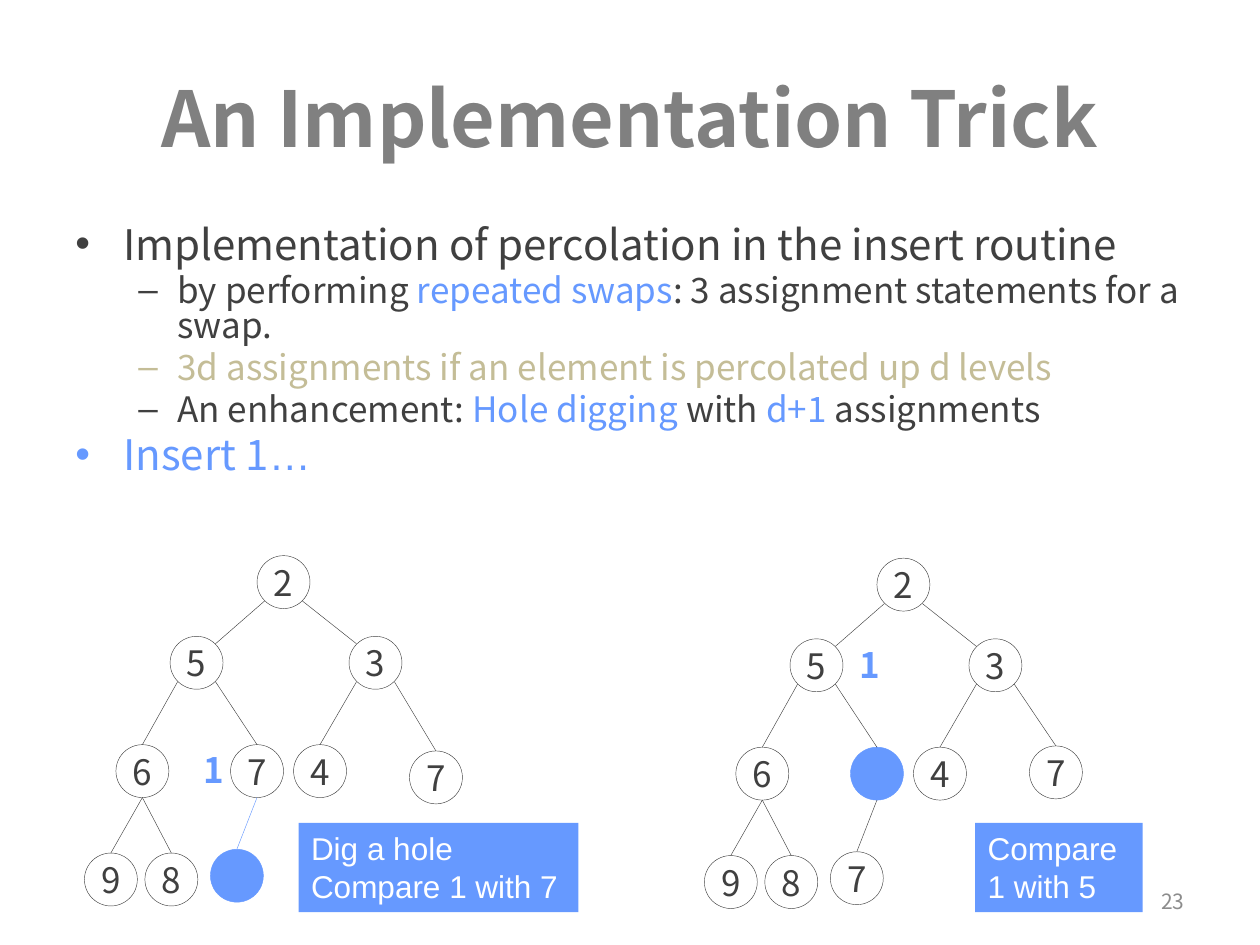
import pptx
import pptx.util
import pptx.dml.color
import pptx.enum.shapes
import pptx.enum.text
import pptx.oxml.ns
import lxml.etree

Inches, Pt = pptx.util.Inches, pptx.util.Pt
RGBColor = pptx.dml.color.RGBColor
MSO_SHAPE = pptx.enum.shapes.MSO_SHAPE
PP_ALIGN = pptx.enum.text.PP_ALIGN
MSO_ANCHOR = pptx.enum.text.MSO_ANCHOR
qn = pptx.oxml.ns.qn

DARK = RGBColor(0x40, 0x40, 0x40)
GRAY = RGBColor(0x80, 0x80, 0x80)
LIGHT_GRAY = RGBColor(0x8C, 0x8C, 0x8C)
BLUE = RGBColor(0x66, 0x99, 0xFF)
TAN = RGBColor(0xC4, 0xBD, 0x97)
WHITE = RGBColor(0xFF, 0xFF, 0xFF)
SANS = "Noto Sans CJK SC"


def add_text(p, text, size=20, color=DARK, font=SANS, bold=False, align=None):
    if align is not None:
        p.alignment = align
    for i, line in enumerate(text.split("\n")):
        if i:
            p.add_line_break()
        r = p.add_run()
        r.text = line
        r.font.size = Pt(size)
        r.font.name = font
        r.font.bold = bold
        r.font.color.rgb = color
        ea = lxml.etree.SubElement(r.font._element, qn("a:ea"))
        ea.set("typeface", font)


def add_edge(shapes, start, end, color):
    c = shapes.add_connector(
        pptx.enum.shapes.MSO_CONNECTOR.STRAIGHT,
        *[Inches(v) for v in (*start, *end)])
    c.line.color.rgb = color
    c.line.width = Pt(0.25)
    lxml.etree.SubElement(c._element.spPr, qn("a:effectLst"))
    return c


prs = pptx.Presentation()
prs.slide_width, prs.slide_height = Inches(10), Inches(7.5)
s = prs.slides.add_slide(prs.slide_layouts[5])

title = s.shapes.title
title.left, title.top = Inches(0.5), Inches(0.3)
title.width, title.height = Inches(9), Inches(1.25)
title.text_frame.vertical_anchor = MSO_ANCHOR.MIDDLE
add_text(title.text_frame.paragraphs[0], "An Implementation Trick",
         size=44, color=GRAY, bold=True, align=PP_ALIGN.CENTER)

body = [
    (0, [("Implementation of percolation in the insert routine", DARK)]),
    (1, [("by performing ", DARK), ("repeated swaps", BLUE),
         (": 3 assignment statements for a swap.", DARK)]),
    (1, [("3d assignments if an element is percolated up d levels", TAN)]),
    (1, [("An enhancement: ", DARK), ("Hole digging ", BLUE), ("with ", DARK),
         ("d+1", BLUE), (" assignments", DARK)]),
    (0, [("Insert 1", BLUE), ("…", BLUE)]),
]
levels = [(24, 0.38, 0.38, "•"), (20, 0.81, 0.31, "–")]
tf = s.shapes.add_textbox(Inches(0.5), Inches(1.75), Inches(9), Inches(2.58)).text_frame
tf.word_wrap = True
for i, (level, runs) in enumerate(body):
    p = tf.add_paragraph() if i else tf.paragraphs[0]
    size, margin, hanging, bullet = levels[level]
    p.level = level
    p.line_spacing = 0.83
    p.space_before = Pt(size * 0.2)
    pPr = p._p.get_or_add_pPr()
    pPr.set("marL", str(Inches(margin)))
    pPr.set("indent", str(-Inches(hanging)))
    lxml.etree.SubElement(pPr, qn("a:buFont")).set("typeface", "Arial")
    lxml.etree.SubElement(pPr, qn("a:buChar")).set("char", bullet)
    for text, color in runs:
        add_text(p, text, size=size, color=color, font="Arial" if text == "…" else SANS)

tf = s.shapes.add_textbox(Inches(7.17), Inches(6.95), Inches(2.33), Inches(0.4)).text_frame
tf.word_wrap = True
tf.vertical_anchor = MSO_ANCHOR.MIDDLE
add_text(tf.paragraphs[0], "23", size=12, color=LIGHT_GRAY, align=PP_ALIGN.RIGHT)

D = 0.42
NEAR, FAR = 0.06, 0.36
HOLE = ""
places = [(2.04, 4.41), (1.35, 5.05), (2.77, 5.05), (0.92, 5.91), (1.83, 5.91),
          (2.33, 5.91), (3.25, 5.96), (0.67, 6.77), (1.15, 6.77), (1.67, 6.74)]
trees = [
    (0, 0, ["2", "5", "3", "6", "7", "4", "7", "9", "8", HOLE], {}, BLUE),
    (4.92, 0.02, ["2", "5", "3", "6", HOLE, "4", "7", "9", "8", "7"],
     {6: (8.17, 5.92)}, DARK),
]
for dx, dy, labels, moved, last_color in trees:
    spots = [moved.get(i, (x + dx, y + dy)) for i, (x, y) in enumerate(places)]
    nodes = []
    for label, (x, y) in zip(labels, spots):
        sp = s.shapes.add_shape(MSO_SHAPE.OVAL, Inches(x), Inches(y), Inches(D), Inches(D))
        sp.shadow.inherit = False
        sp.line.width = Pt(0.25)
        if label == HOLE:
            sp.fill.solid()
            sp.fill.fore_color.rgb = BLUE
            sp.line.color.rgb = BLUE
        else:
            sp.fill.background()
            sp.line.color.rgb = DARK
            tf = sp.text_frame
            tf.word_wrap = False
            tf.vertical_anchor = MSO_ANCHOR.MIDDLE
            tf.margin_left = tf.margin_right = tf.margin_top = tf.margin_bottom = 0
            add_text(tf.paragraphs[0], label, align=PP_ALIGN.CENTER)
        nodes.append(sp)

    for i in range(1, len(nodes)):
        parent = (i - 1) // 2
        px, py = spots[parent]
        x, y = spots[i]
        is_left = i % 2 == 1
        start = (px + (NEAR if is_left else FAR), py + FAR)
        if parent > 2:
            start = (px + D / 2, py + D)
        end = (x + (FAR if is_left else NEAR), y + NEAR)
        c = add_edge(s.shapes, start, end, last_color if i == 9 else DARK)
        if parent > 0:
            c.end_connect(nodes[i], 0)

for x, y in [(1.52, 5.89), (6.72, 5.06)]:
    tf = s.shapes.add_textbox(Inches(x), Inches(y), Inches(0.31), Inches(0.44)).text_frame
    tf.word_wrap = False
    add_text(tf.paragraphs[0], "1", color=BLUE, bold=True)

for x, width, text in [(2.37, 2.22, "Dig a hole\nCompare 1 with 7"),
                       (7.74, 1.33, "Compare 1 with 5")]:
    sp = s.shapes.add_shape(MSO_SHAPE.RECTANGLE, Inches(x), Inches(6.53),
                            Inches(width), Inches(0.71))
    sp.shadow.inherit = False
    sp.fill.solid()
    sp.fill.fore_color.rgb = BLUE
    sp.line.fill.background()
    tf = sp.text_frame
    tf.word_wrap = True
    tf.vertical_anchor = MSO_ANCHOR.TOP
    add_text(tf.paragraphs[0], text, size=18, color=WHITE, font="Arial", align=PP_ALIGN.LEFT)

prs.save("out.pptx")
